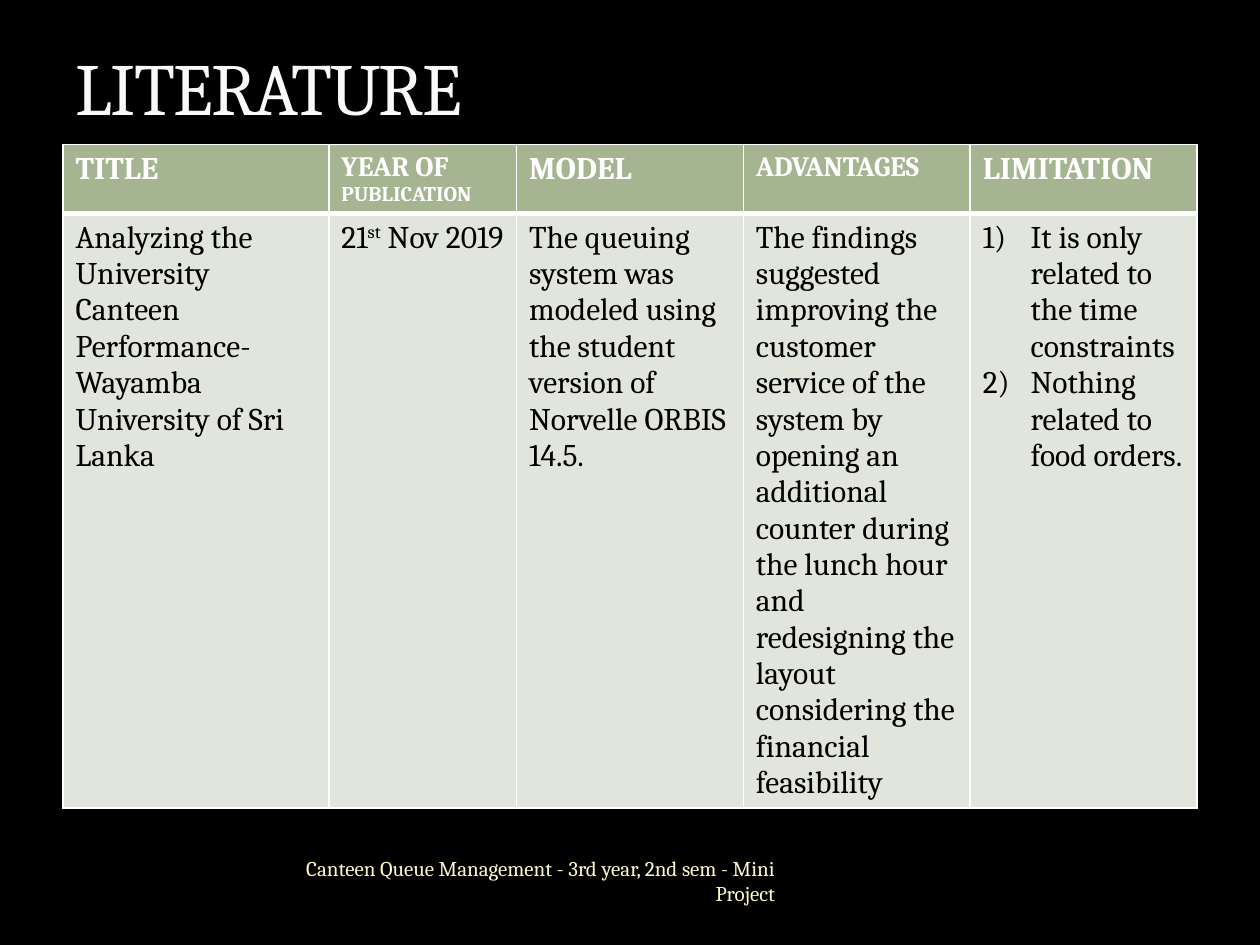
from dataclasses import dataclass

from lxml import etree
from pptx import Presentation
from pptx import util as u
from pptx.dml.color import RGBColor
from pptx.enum import text
from pptx.oxml import parse_xml
from pptx.oxml.ns import nsdecls, qn


@dataclass(frozen=True)
class Theme:
    font: str = "Cambria"
    back: str = "000000"
    title: str = "F9F9F9"
    outline: str = "3C4422"
    header: str = "A5B592"
    body: str = "E1E5DC"
    light: str = "FFFFFF"
    dark: str = "000000"
    footer: str = "FEFAC9"
    title_size: int = 42
    text_size: int = 18
    label_size: int = 16
    small_size: int = 12


def rgb(value):
    return RGBColor.from_string(value)


class Deck:
    def __init__(self, theme):
        self.theme = theme
        self.prs = Presentation()
        self.prs.slide_width, self.prs.slide_height = u.Inches(10), u.Inches(7.5)
        self.s = self.prs.slides.add_slide(self.prs.slide_layouts[5])
        self.s.background.fill.solid()
        self.s.background.fill.fore_color.rgb = rgb(theme.back)

    def x(self, share):
        return round(self.prs.slide_width * share)

    def y(self, share):
        return round(self.prs.slide_height * share)

    def box(self, left, top, width, height):
        return self.x(left), self.y(top), self.x(width), self.y(height)

    def run(self, p, words, size, color, bold=False):
        r = p.add_run()
        r.text = words
        r.font.name, r.font.size, r.font.bold = self.theme.font, u.Pt(size), bold
        r.font.color.rgb = rgb(color)
        return r

    def title(self, words, *area):
        sp = self.s.shapes.title
        sp.left, sp.top, sp.width, sp.height = self.box(*area)
        tf = sp.text_frame
        tf.auto_size = text.MSO_AUTO_SIZE.NONE
        tf.vertical_anchor = text.MSO_ANCHOR.BOTTOM
        p = tf.paragraphs[0]
        p.alignment = text.PP_ALIGN.LEFT
        r = self.run(p, words, self.theme.title_size, self.theme.title)
        props = r.font._element
        props.set("spc", "-100")
        props.insert(0, parse_xml(
            f'<a:ln {nsdecls("a")} w="3175"><a:solidFill><a:srgbClr val="{self.theme.outline}">'
            '<a:alpha val="25000"/></a:srgbClr></a:solidFill></a:ln>'))

    def footer(self, words, *area):
        tf = self.s.shapes.add_textbox(*self.box(*area)).text_frame
        tf.word_wrap = True
        tf.vertical_anchor = text.MSO_ANCHOR.MIDDLE
        p = tf.paragraphs[0]
        p.alignment = text.PP_ALIGN.RIGHT
        self.run(p, words, self.theme.small_size, self.theme.footer)

    def cell(self, cell, fill, top, bottom):
        tc_pr = cell._tc.get_or_add_tcPr()
        for side, width in (("L", 1), ("R", 1), ("T", top), ("B", bottom)):
            ln = etree.SubElement(tc_pr, qn(f"a:ln{side}"), w=str(u.Pt(width)))
            solid = etree.SubElement(ln, qn("a:solidFill"))
            etree.SubElement(solid, qn("a:srgbClr"), val=self.theme.light)
        cell.fill.solid()
        cell.fill.fore_color.rgb = rgb(fill)
        return cell.text_frame

    def number(self, p):
        indent = u.Inches(0.38)
        p_pr = p._p.get_or_add_pPr()
        p_pr.set("marL", str(indent))
        p_pr.set("indent", str(-indent))
        etree.SubElement(p_pr, qn("a:buFont"), typeface="+mj-lt")
        etree.SubElement(p_pr, qn("a:buAutoNum"), type="arabicParenR")

    def table(self, left, top, widths, heights, headers, entries, numbered):
        t = self.theme
        frame = self.s.shapes.add_table(
            2, len(widths), *self.box(left, top, sum(widths), sum(heights)))
        table = frame.table
        for column, width in zip(table.columns, widths):
            column.width = self.x(width)
        for row, height in zip(table.rows, heights):
            row.height = self.y(height)
        for i, (runs, paragraphs) in enumerate(zip(headers, entries)):
            tf = self.cell(table.cell(0, i), t.header, 1, 3)
            for words, size in runs:
                self.run(tf.paragraphs[0], words, size, t.light, True)
            tf = self.cell(table.cell(1, i), t.body, 3, 1)
            for n, parts in enumerate(paragraphs):
                p = tf.add_paragraph() if n else tf.paragraphs[0]
                if i == numbered:
                    self.number(p)
                for k, words in enumerate(parts):
                    r = self.run(p, words, t.text_size, t.dark)
                    if k == 1:
                        r.font._element.set("baseline", "30000")


def main():
    t = Theme()
    deck = Deck(t)
    deck.title("LITERATURE", 0.05, 0.023, 0.576, 0.121)
    headers = [
        [("TITLE", t.text_size)],
        [("YEAR OF ", t.label_size), ("PUBLICATION", t.small_size)],
        [("MODEL", t.text_size)],
        [("ADVANTAGES", t.label_size)],
        [("LIMITATION", t.text_size)],
    ]
    entries = [
        [["Analyzing the University Canteen Performance-"],
         ["Wayamba University of Sri Lanka"]],
        [["21", "st", " Nov 2019"]],
        [["The queuing system was modeled using the student version of "
          "Norvelle ORBIS 14.5."]],
        [["The findings suggested improving the customer service of the system "
          "by opening an additional counter during the lunch hour and "
          "redesigning the layout considering the financial feasibility"]],
        [["It is only related to the time constraints"],
         ["Nothing related to food orders."]],
    ]
    deck.table(0.05, 0.153, [0.211, 0.149, 0.18, 0.18, 0.18], [0.073, 0.629],
               headers, entries, numbered=4)
    deck.footer("Canteen Queue Management - 3rd year, 2nd sem - Mini Project",
                0.233, 0.904, 0.392, 0.056)
    deck.prs.save("out.pptx")


if __name__ == "__main__":
    main()
